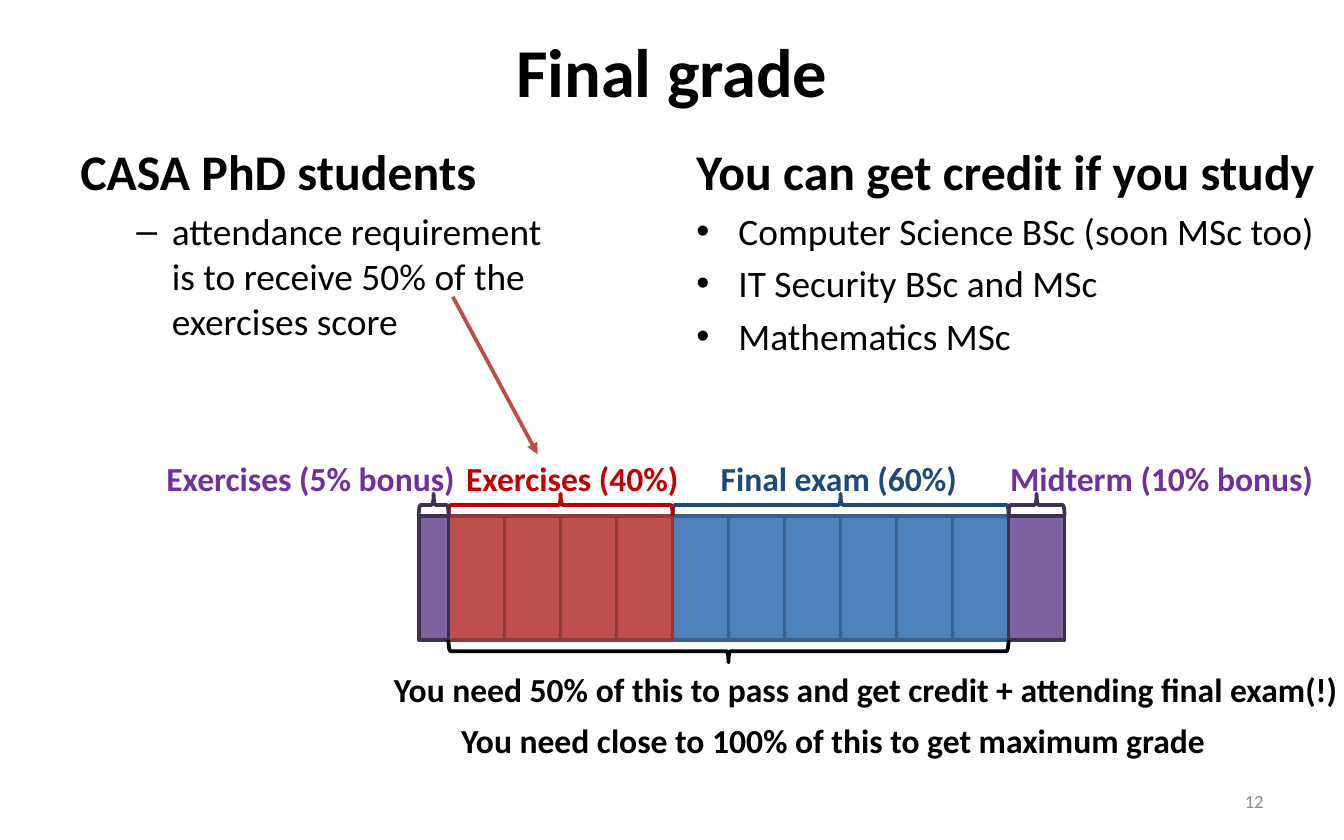
from lxml.etree import SubElement
from pptx import Presentation
from pptx.dml.color import RGBColor
from pptx.enum.shapes import MSO_CONNECTOR as Connector, MSO_SHAPE as Shape
from pptx.enum.text import MSO_ANCHOR as Anchor, PP_ALIGN as Align
from pptx.oxml.ns import qn
from pptx.util import Pt

COLORS = {
    "black": "000000", "gray": "8C8C8C", "arrow": "BF4C48",
    "red": "C0504D", "red_edge": "8E3B39", "red_text": "C00000",
    "blue": "4F81BD", "blue_edge": "3A5F8C", "blue_text": "1F497D",
    "purple": "8064A2", "purple_edge": "403152", "purple_text": "7030A0",
}
FONT = "Calibri"
BAR_TOP, BAR_H = 276.5, 66.3
BAR_LEFT, UNIT = 240.3, 30  # one unit is 10% of the grade
BONUS_W = 16
BRACE_DEPTH = 12


def color(name):
    return RGBColor.from_string(COLORS[name])


def style(p, size, name="black", bold=False):
    for r in p.runs:
        r.font.name, r.font.size, r.font.bold = FONT, Pt(size), bold
        r.font.color.rgb = color(name)


def add_text(s, box, text, size, name="black", bold=True, align=Align.LEFT,
             anchor=Anchor.TOP, wrap=True):
    tf = s.shapes.add_textbox(*map(Pt, box)).text_frame
    tf.word_wrap = wrap
    tf.vertical_anchor = anchor
    p = tf.paragraphs[0]
    p.text = text
    p.alignment = align
    style(p, size, name, bold)
    return tf


def add_label(s, x, y, w, text, name="black"):
    add_text(s, (x, y, w, 29), text, 18, name, wrap=False)


def add_list(s, box, heading, items, bullet, margin, hang):
    """Bold heading followed by bulleted paragraphs."""
    tf = add_text(s, box, heading, 26.7)
    tf.paragraphs[0].space_before = Pt(5.3)
    for item in items:
        p = tf.add_paragraph()
        p.text = item
        p.space_before = Pt(4)
        style(p, 20)
        pPr = p._p.get_or_add_pPr()
        pPr.set("marL", str(Pt(margin)))
        pPr.set("indent", str(-Pt(hang)))
        SubElement(pPr, qn("a:buFont"), typeface="Arial")
        SubElement(pPr, qn("a:buChar"), char=bullet)


def add_bar(s, x, w, name):
    bar = s.shapes.add_shape(Shape.RECTANGLE, Pt(x), Pt(BAR_TOP), Pt(w), Pt(BAR_H))
    bar.shadow.inherit = False
    bar.fill.solid()
    bar.fill.fore_color.rgb = color(name)
    bar.line.color.rgb = color(name + "_edge")
    bar.line.width = Pt(2)


def add_brace(s, x, w, name, below=False):
    """Brace lying along the top or bottom edge of the bars from x to x + w."""
    offset = BAR_H + BRACE_DEPTH / 2 if below else -BRACE_DEPTH / 2
    left = x + (w - BRACE_DEPTH) / 2
    top = BAR_TOP + offset - w / 2
    brace = s.shapes.add_shape(Shape.LEFT_BRACE, Pt(left), Pt(top),
                               Pt(BRACE_DEPTH), Pt(w))
    brace.rotation = 270 if below else 90
    brace.shadow.inherit = False
    brace.fill.background()
    brace.line.color.rgb = color(name)
    brace.line.width = Pt(2)


def add_arrow(s, x1, y1, x2, y2):
    line = s.shapes.add_connector(Connector.STRAIGHT, Pt(x1), Pt(y1), Pt(x2), Pt(y2))
    line.line.color.rgb = color("arrow")
    line.line.width = Pt(2)
    SubElement(line.line._get_or_add_ln(), qn("a:tailEnd"), type="triangle")
    SubElement(line._element.spPr, qn("a:effectLst"))


def add_grade_bar(s):
    exam_left = BAR_LEFT + 4 * UNIT
    midterm_left = exam_left + 6 * UNIT
    bonus_left = BAR_LEFT - BONUS_W
    # left, unit width, count, fill, brace, label, label left, label width
    parts = [
        (exam_left, UNIT, 6, "blue", "blue_text", "Final exam (60%)", 379, 142.5),
        (BAR_LEFT, UNIT, 4, "red", "red_text", "Exercises (40%)", 242.6, 129),
        (midterm_left, UNIT, 1, "purple", "purple_edge", "Midterm (10% bonus)", 534, 178.5),
        (bonus_left, BONUS_W, 1, "purple", "purple_edge", "Exercises (5% bonus)", 82, 170),
    ]
    for left, w, count, fill, brace, label, label_left, label_w in parts:
        for i in range(count):
            add_bar(s, left + i * w, w, fill)
        add_brace(s, left, count * w, brace)
        add_label(s, label_left, 242, label_w, label, fill + "_text")
    add_brace(s, BAR_LEFT, 10 * UNIT, "black", below=True)


def main():
    prs = Presentation()
    prs.slide_width, prs.slide_height = Pt(720), Pt(450)
    s = prs.slides.add_slide(prs.slide_layouts[6])

    add_text(s, (36, 0, 648, 75), "Final grade", 36.7,
             align=Align.CENTER, anchor=Anchor.MIDDLE)
    add_text(s, (516, 417, 168, 24), "12", 10, "gray", bold=False,
             align=Align.RIGHT, anchor=Anchor.MIDDLE)
    add_grade_bar(s)
    add_label(s, 204, 355, 525.5,
              "You need 50% of this to pass and get credit + attending final exam(!)")
    add_label(s, 240, 382, 417, "You need close to 100% of this to get maximum grade")
    add_list(s, (36, 72, 318, 138), "CASA PhD students",
             ["attendance requirement\vis to receive 50% of the exercises score"],
             "–", 49, 19)
    add_list(s, (366, 72, 346, 143), "You can get credit if you study",
             ["Computer Science BSc (soon MSc too)", "IT Security BSc and MSc",
              "Mathematics MSc"], "•", 22.5, 22.5)
    add_arrow(s, 242.6, 159, 288, 243.4)
    prs.save("out.pptx")


if __name__ == "__main__":
    main()
